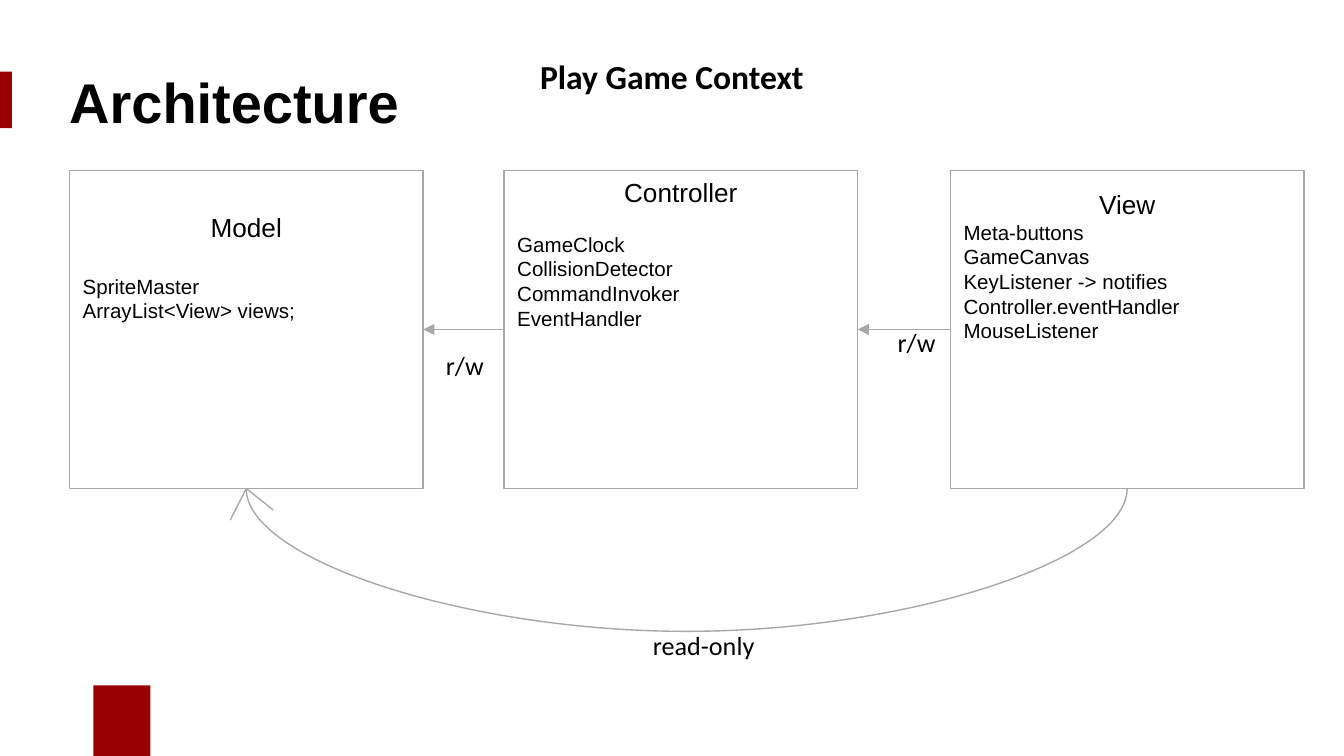
import pptx
import pptx.util
import pptx.dml.color
import pptx.enum.shapes
import pptx.enum.text
import pptx.oxml.ns
import lxml.etree
from dataclasses import dataclass

Pt = pptx.util.Pt
RGB = pptx.dml.color.RGBColor.from_string
Align = pptx.enum.text.PP_ALIGN
Anchor = pptx.enum.text.MSO_ANCHOR
Connector = pptx.enum.shapes.MSO_CONNECTOR
RECTANGLE = pptx.enum.shapes.MSO_SHAPE.RECTANGLE
qn = pptx.oxml.ns.qn


@dataclass(frozen=True)
class Theme:
    accent: str = "990000"
    ink: str = "000000"
    paper: str = "FFFFFF"
    rule: str = "A7A7A7"
    heading: str = "Arial"
    label: str = "Calibri"
    title_size: int = 30
    context_size: int = 18
    name_size: int = 14
    item_size: int = 11
    line_width: float = 0.75


theme = Theme()
deck = pptx.Presentation()
deck.slide_width, deck.slide_height = Pt(720), Pt(405)
page = deck.slides.add_slide(deck.slide_layouts[6])


def write(para, text, font, size, bold=False, align=Align.LEFT):
    para.alignment = align
    span = para.add_run()
    span.text = text
    span.font.name = font
    span.font.size = Pt(size)
    span.font.bold = bold
    span.font.color.rgb = RGB(theme.ink)


def connect(kind, start, end, arrow=False):
    line = page.shapes.add_connector(kind, *[Pt(value) for value in start + end])
    line.line.color.rgb = RGB(theme.rule)
    line.line.width = Pt(theme.line_width)
    if arrow:
        lxml.etree.SubElement(line.line._get_or_add_ln(), qn("a:tailEnd"), type="triangle")
    lxml.etree.SubElement(line._element.spPr, qn("a:effectLst"))
    return line


for left, top, width, height in [(0, 38.4, 6.4, 30.3), (50.1, 367.2, 30.5, 37.8)]:
    bar = page.shapes.add_shape(RECTANGLE, Pt(left), Pt(top), Pt(width), Pt(height))
    bar.shadow.inherit = False
    bar.fill.solid()
    bar.fill.fore_color.rgb = RGB(theme.accent)
    bar.line.fill.background()

title = page.shapes.add_textbox(Pt(33.5), Pt(25.9), Pt(645), Pt(61.2))
frame = title.text_frame
frame.word_wrap = True
frame.vertical_anchor = Anchor.MIDDLE
frame.margin_left = frame.margin_right = frame.margin_top = frame.margin_bottom = Pt(3.6)
frame.paragraphs[0].line_spacing = 0.9
write(frame.paragraphs[0], "Architecture", theme.heading, theme.title_size, True)

box_width, box_height, box_top = 189.5, 170.4, 91.3
box_bottom = box_top + box_height
lefts = {"Model": 37.2, "Controller": 270, "View": 509.1}
centers = {name: left + box_width / 2 for name, left in lefts.items()}
parts = [
    ("Model", 22, 16.5, ["SpriteMaster", "ArrayList<View> views;"]),
    ("View", 9.5, 0, ["Meta-buttons", "GameCanvas",
                      "KeyListener -> notifies Controller.eventHandler", "MouseListener"]),
    ("Controller", 3, 13, ["GameClock", "CollisionDetector", "CommandInvoker", "EventHandler"]),
]
for name, inset, gap, items in parts:
    box = page.shapes.add_shape(RECTANGLE, Pt(lefts[name]), Pt(box_top), Pt(box_width), Pt(box_height))
    box.shadow.inherit = False
    box.fill.solid()
    box.fill.fore_color.rgb = RGB(theme.paper)
    box.line.color.rgb = RGB(theme.rule)
    box.line.width = Pt(theme.line_width)
    frame = box.text_frame
    frame.word_wrap = True
    frame.vertical_anchor = Anchor.TOP
    frame.margin_left = frame.margin_right = Pt(7.2)
    frame.margin_top, frame.margin_bottom = Pt(inset), Pt(0)
    write(frame.paragraphs[0], name, theme.heading, theme.name_size, align=Align.CENTER)
    frame.paragraphs[0].space_after = Pt(gap)
    for item in items:
        write(frame.add_paragraph(), item, theme.heading, theme.item_size)

arrow_level = box_top + box_height / 2
for source, target in [("View", "Controller"), ("Controller", "Model")]:
    connect(Connector.STRAIGHT, (lefts[source], arrow_level),
            (lefts[target] + box_width, arrow_level), True)

curve_bottom = (centers["Model"] + centers["View"]) / 2, 338.3
for name in ("View", "Model"):
    curve = connect(Connector.CURVE, curve_bottom, (centers[name], box_bottom))
    curve._element.spPr.find(qn("a:prstGeom")).set("prst", "curvedConnector2")

for across, down in [(-8.6, 17), (14.4, 11.5)]:
    connect(Connector.STRAIGHT, (centers["Model"], box_bottom),
            (centers["Model"] + across, box_bottom + down))

labels = [
    ("Play Game Context", 270, 23, 180, 36, theme.context_size, True, Align.CENTER),
    ("r/w", 473.8, 167.8, 50, 31.7, theme.name_size, False, Align.LEFT),
    ("r/w", 231.8, 180, 50, 31.7, theme.name_size, False, Align.LEFT),
    ("read-only", 342.7, 329.8, 100, 31.7, theme.name_size, False, Align.LEFT),
]
for text, left, top, width, height, size, bold, align in labels:
    label = page.shapes.add_textbox(Pt(left), Pt(top), Pt(width), Pt(height))
    frame = label.text_frame
    frame.word_wrap = True
    frame.margin_left = frame.margin_right = frame.margin_top = frame.margin_bottom = Pt(7.2)
    write(frame.paragraphs[0], text, theme.label, size, bold, align)

deck.save("out.pptx")
